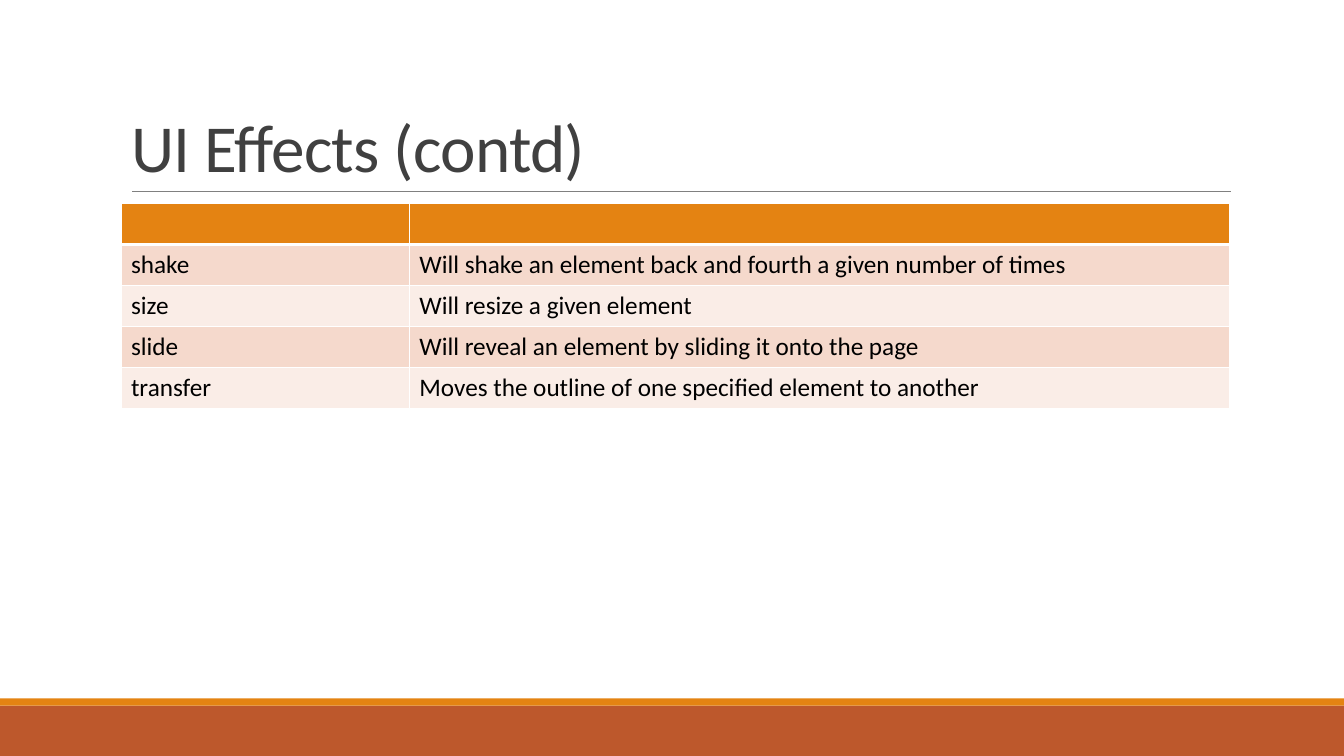
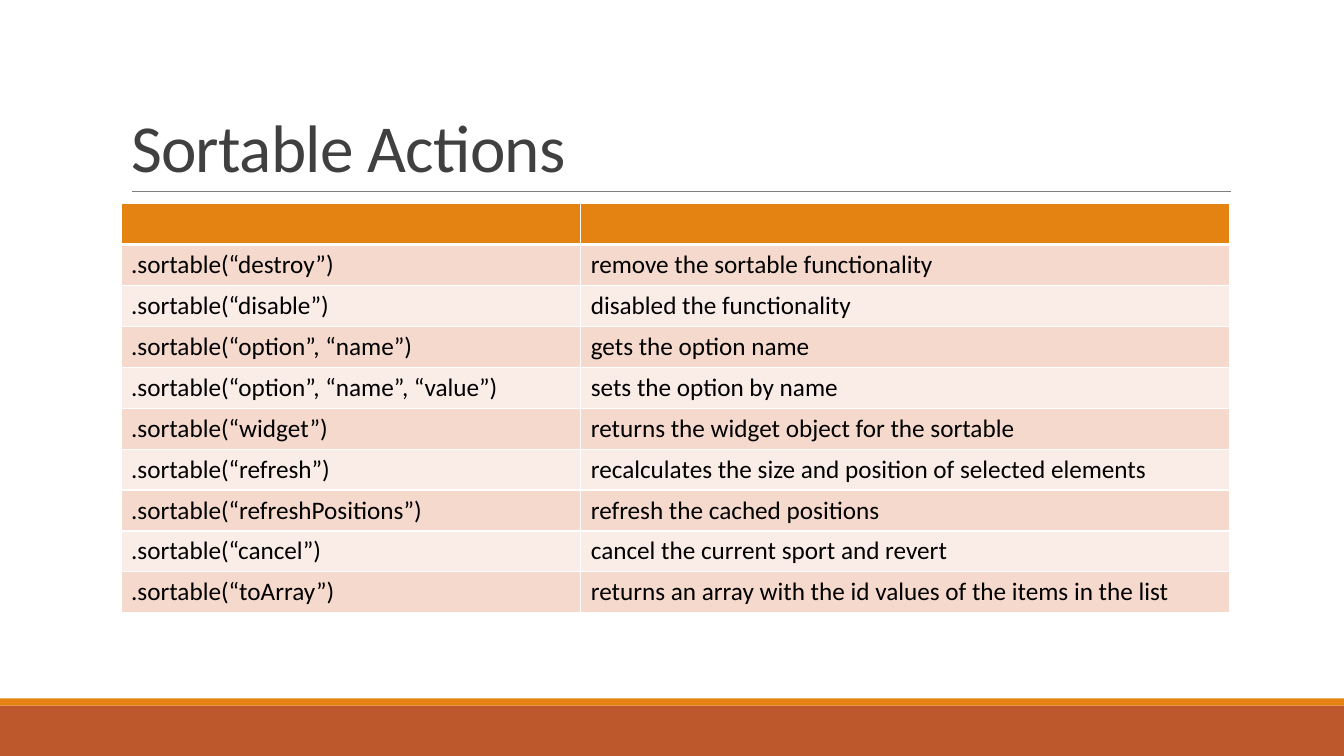
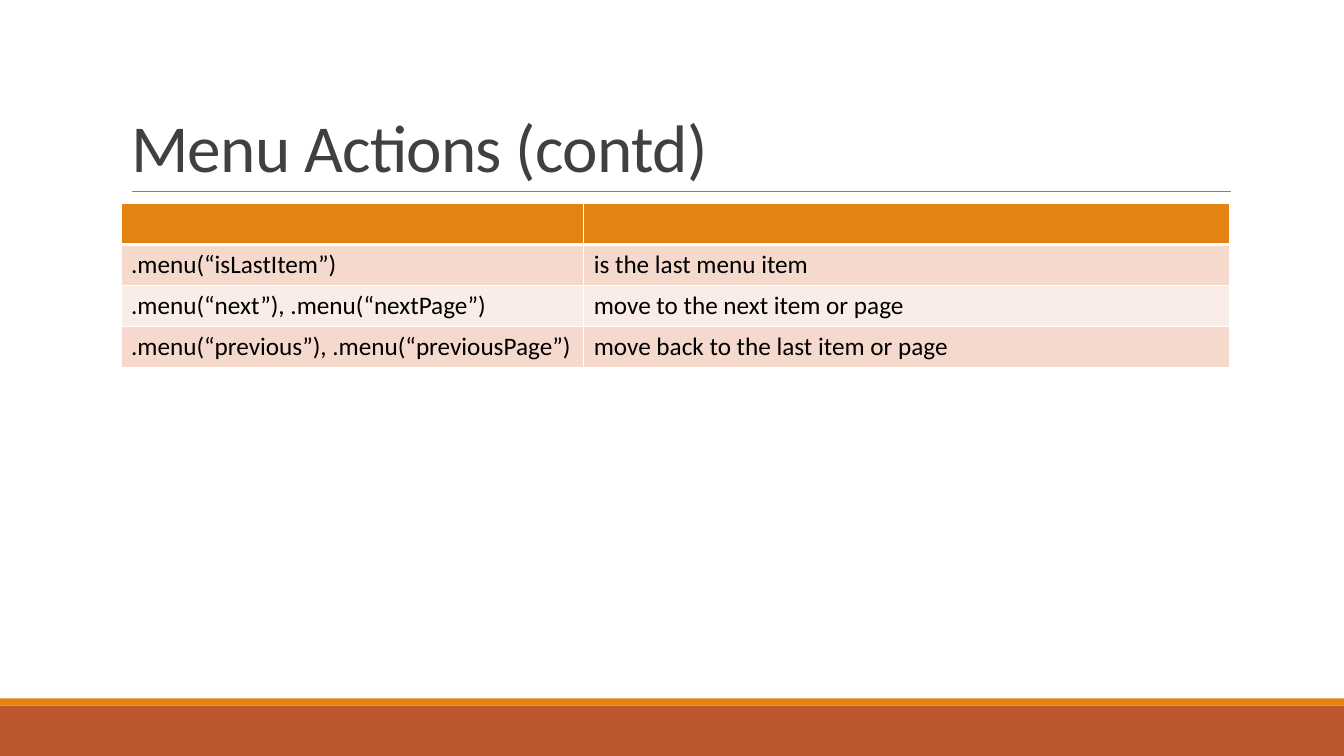
import pptx
import pptx.dml.color
import pptx.enum.shapes
import pptx.enum.text
import pptx.oxml.ns
import pptx.util
from lxml import etree

Inches = pptx.util.Inches
Pt = pptx.util.Pt

COLORS = {
    "footer": "BD582C",
    "accent": "E48312",
    "rule": "808080",
    "title": "404040",
    "text": "000000",
    "grid": "FFFFFF",
    "odd_row": "F5D9CC",
    "even_row": "FAEDE7",
}

SLIDE_WIDTH, SLIDE_HEIGHT = 13.33, 7.5
TITLE_BOX = (1.2, 0.31, 11, 1.59)
TABLE_BOX = (1.2, 2.02, 11)
ROW_HEIGHT = 4.06 / 10
RULE_INSET = 0.11
FOOTER_HEIGHT, STRIPE_HEIGHT = 0.5, 0.07

TITLE_FRAME = {
    "word_wrap": True,
    "auto_size": pptx.enum.text.MSO_AUTO_SIZE.NONE,
    "vertical_anchor": pptx.enum.text.MSO_ANCHOR.BOTTOM,
}
TITLE_PARAGRAPH = {
    "alignment": pptx.enum.text.PP_ALIGN.LEFT,
    "line_spacing": 0.85,
}
TITLE_FONT = {"name": "Calibri", "size": Pt(48)}
CELL_FONT = {"name": "Calibri", "size": Pt(18), "bold": False}

PAGES = [
    ("UI Effects (contd)", 2.86, [
        ("shake", "Will shake an element back and fourth a given number of times"),
        ("size", "Will resize a given element"),
        ("slide", "Will reveal an element by sliding it onto the page"),
        ("transfer", "Moves the outline of one specified element to another"),
    ]),
    ("Sortable Actions", 4.56, [
        (".sortable(“destroy”)", "remove the sortable functionality"),
        (".sortable(“disable”)", "disabled the functionality"),
        (".sortable(“option”, “name”)", "gets the option name"),
        (".sortable(“option”, “name”, “value”)", "sets the option by name"),
        (".sortable(“widget”)", "returns the widget object for the sortable"),
        (".sortable(“refresh”)", "recalculates the size and position of selected elements"),
        (".sortable(“refreshPositions”)", "refresh the cached positions"),
        (".sortable(“cancel”)", "cancel the current sport and revert"),
        (".sortable(“toArray”)", "returns an array with the id values of the items in the list"),
    ]),
    ("Menu Actions (contd)", 4.59, [
        (".menu(“isLastItem”)", "is the last menu item"),
        (".menu(“next”), .menu(“nextPage”)", "move to the next item or page"),
        (".menu(“previous”), .menu(“previousPage”)", "move back to the last item or page"),
    ]),
]


def rgb(role):
    """Return the colour that belongs to a role."""
    return pptx.dml.color.RGBColor.from_string(COLORS[role])


def apply_format(target, values):
    """Set each attribute in values on target."""
    for attribute, value in values.items():
        setattr(target, attribute, value)


def add_band(slide, box, role):
    """Fill a box with a plain band of colour."""
    band = slide.shapes.add_shape(
        pptx.enum.shapes.MSO_SHAPE.RECTANGLE, *map(Inches, box))
    band.shadow.inherit = False
    band.fill.solid()
    band.fill.fore_color.rgb = rgb(role)
    band.line.fill.background()


def add_footer(slide, bottom):
    """Stack the footer band and its stripe upward from the bottom edge."""
    footer_top = bottom - FOOTER_HEIGHT
    add_band(slide, (0, footer_top, SLIDE_WIDTH, FOOTER_HEIGHT), "footer")
    add_band(slide, (0, footer_top - STRIPE_HEIGHT, SLIDE_WIDTH, STRIPE_HEIGHT), "accent")


def add_heading(slide, heading, box):
    """Place the title in its box with a thin rule along the lower edge."""
    left, top, width, height = box
    title = slide.shapes.title
    apply_format(title, dict(zip(("left", "top", "width", "height"), map(Inches, box))))
    apply_format(title.text_frame, TITLE_FRAME)
    title.text_frame.text = heading
    paragraph = title.text_frame.paragraphs[0]
    apply_format(paragraph, TITLE_PARAGRAPH)
    run = paragraph.runs[0]
    apply_format(run.font, TITLE_FONT)
    run.font.color.rgb = rgb("title")
    run.font._element.set("spc", "-50")

    rule_y = Inches(top + height)
    rule = slide.shapes.add_connector(
        pptx.enum.shapes.MSO_CONNECTOR.STRAIGHT,
        Inches(left + RULE_INSET), rule_y, Inches(left + width + 0.01), rule_y)
    rule.line.color.rgb = rgb("rule")
    rule.line.width = Pt(0.5)
    etree.SubElement(rule._element.spPr, pptx.oxml.ns.qn("a:effectLst"))


def add_borders(cell, widths):
    """Draw the cell borders, with widths in points by side."""
    properties = cell._tc.get_or_add_tcPr()
    for side, width in widths.items():
        border = etree.SubElement(
            properties, pptx.oxml.ns.qn(f"a:ln{side}"), w=str(Pt(width)))
        fill = etree.SubElement(border, pptx.oxml.ns.qn("a:solidFill"))
        etree.SubElement(fill, pptx.oxml.ns.qn("a:srgbClr"), val=COLORS["grid"])


def add_reference_table(slide, entries, name_width, box):
    """Build a two-column table under an empty header row."""
    left, top, width = box
    rows = [("", ""), *entries]
    table = slide.shapes.add_table(
        len(rows), 2, Inches(left), Inches(top),
        Inches(width), Inches(ROW_HEIGHT * len(rows))).table
    table.horz_banding = False
    for column, column_width in zip(table.columns, (name_width, width - name_width)):
        column.width = Inches(column_width)
    for row_index, texts in enumerate(rows):
        table.rows[row_index].height = Inches(ROW_HEIGHT)
        role = "accent" if row_index == 0 else "odd_row" if row_index % 2 else "even_row"
        widths = {"L": 1, "R": 1,
                  "T": 3 if row_index == 1 else 1,
                  "B": 3 if row_index == 0 else 1}
        for cell, text in zip(table.rows[row_index].cells, texts):
            add_borders(cell, widths)
            cell.fill.solid()
            cell.fill.fore_color.rgb = rgb(role)
            cell.text = text
            for run in cell.text_frame.paragraphs[0].runs:
                apply_format(run.font, CELL_FONT)
                run.font.color.rgb = rgb("text")


def main():
    """Build and save the presentation."""
    deck = pptx.Presentation()
    deck.slide_width, deck.slide_height = Inches(SLIDE_WIDTH), Inches(SLIDE_HEIGHT)
    for heading, name_width, entries in PAGES:
        slide = deck.slides.add_slide(deck.slide_layouts.get_by_name("Title Only"))
        add_footer(slide, SLIDE_HEIGHT)
        add_heading(slide, heading, TITLE_BOX)
        add_reference_table(slide, entries, name_width, TABLE_BOX)
    deck.save("out.pptx")


if __name__ == "__main__":
    main()
